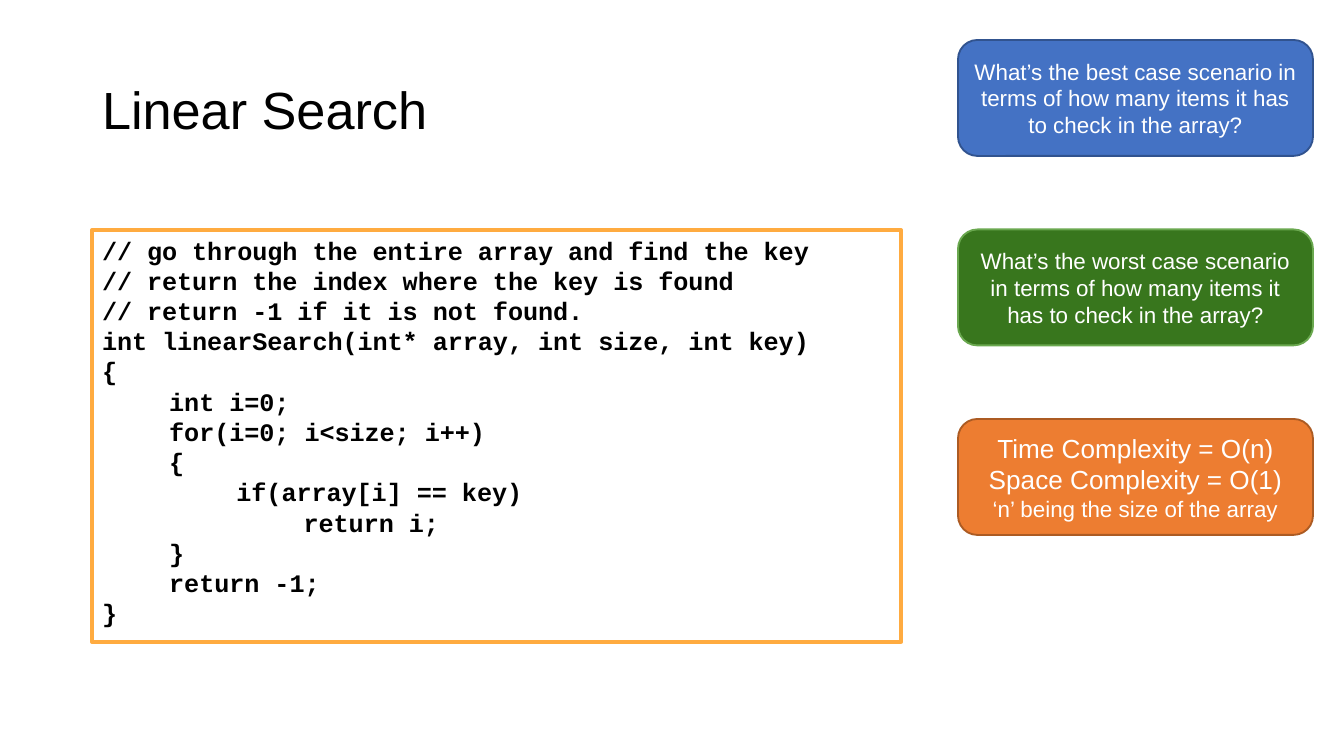
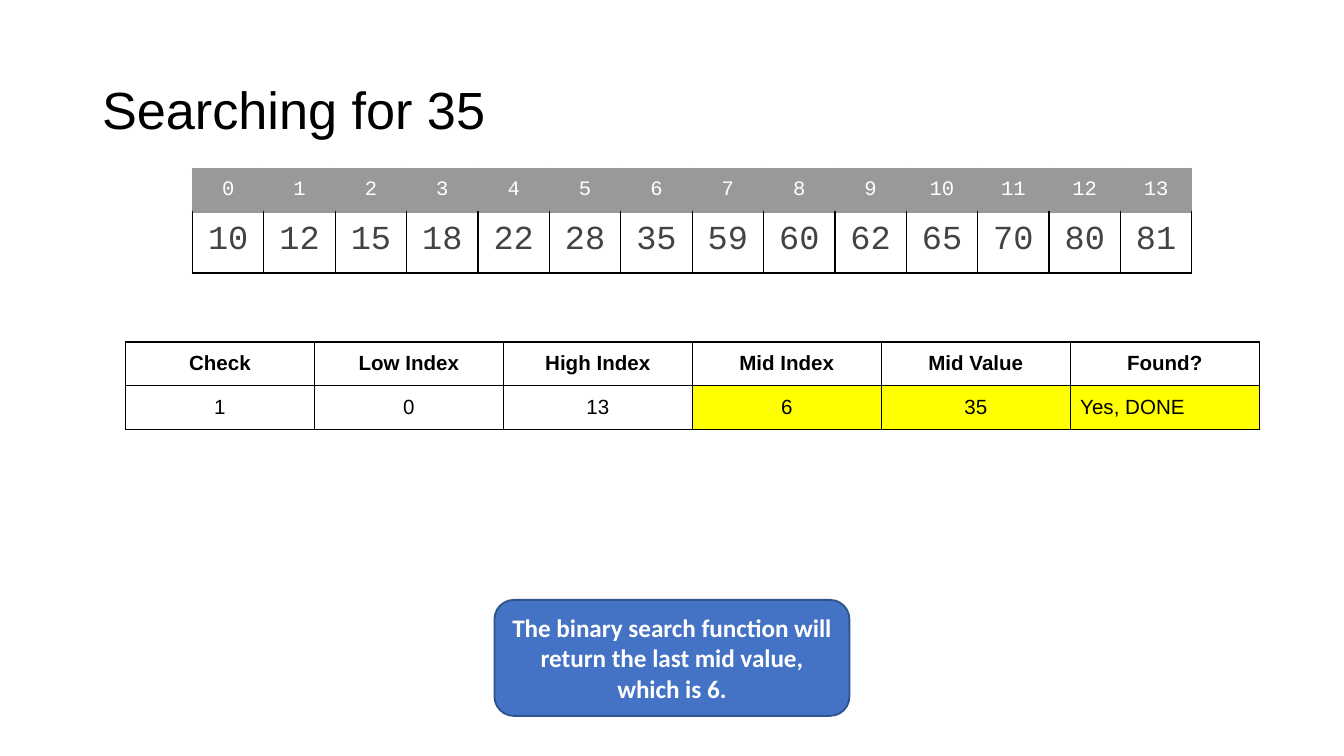
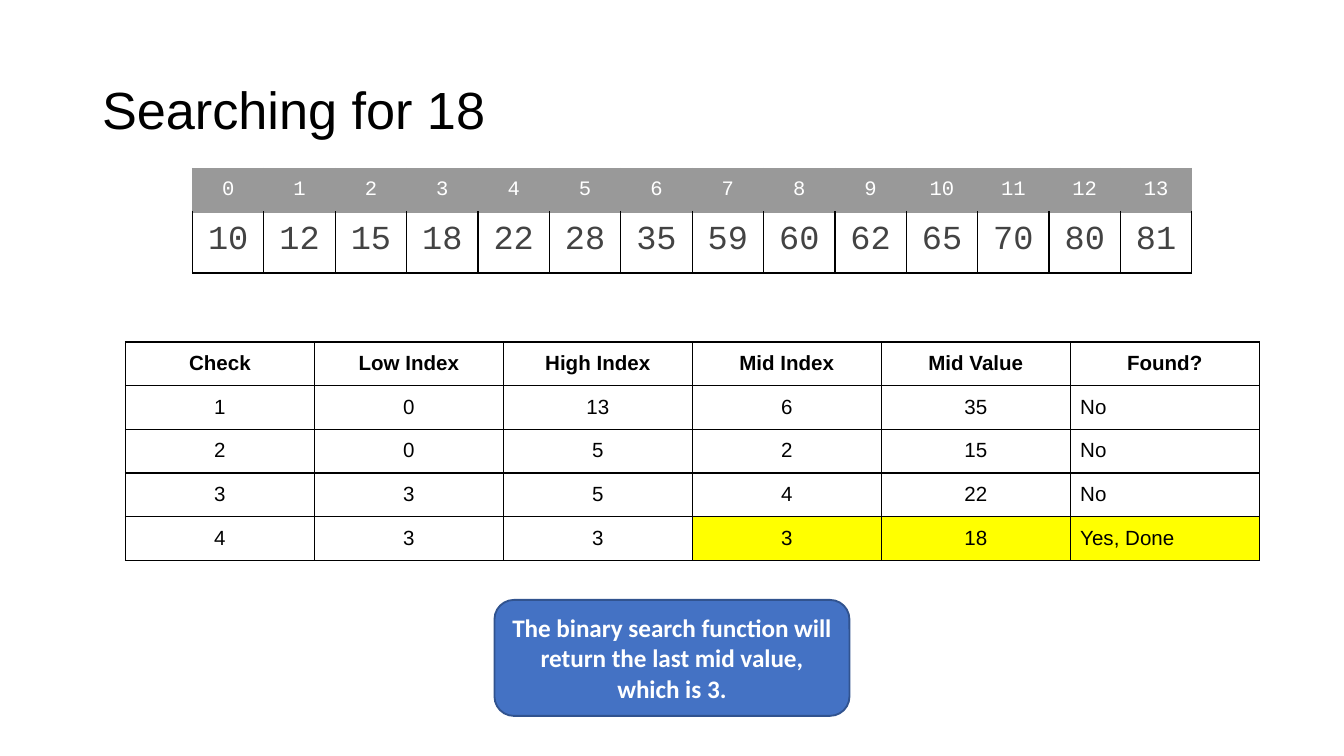
from lxml.etree import SubElement
from pptx import Presentation
from pptx.dml.color import RGBColor
from pptx.enum.shapes import MSO_SHAPE
from pptx.enum.text import MSO_ANCHOR, MSO_AUTO_SIZE, PP_ALIGN
from pptx.oxml.ns import qn
from pptx.util import Emu, Pt

RECT, ROUNDED = MSO_SHAPE.RECTANGLE, MSO_SHAPE.ROUNDED_RECTANGLE
TOP, MIDDLE = MSO_ANCHOR.TOP, MSO_ANCHOR.MIDDLE
LEFT, CENTER = PP_ALIGN.LEFT, PP_ALIGN.CENTER
NO_AUTOFIT = MSO_AUTO_SIZE.NONE

EMU_PER_PIXEL = 914400 / 134.4
TITLE_ONLY = 5
BODY, CODE, NOTE = "Arial", "Courier New", "Calibri"
BLACK, WHITE, GRAY, DARK_GRAY = "000000", "FFFFFF", "999999", "434343"
YELLOW, AMBER = "FFFF00", "FFAB40"
BLUE = ("4472C4", "31538F")
GREEN = ("38761D", "6AA84F")
ORANGE = ("ED7D31", "AC5B23")

CARD_SIZE = (355, 116)
CARD_LEFT, CARD_TOP, CARD_STEP = 958, 40, 189.5
BORDER_SIDES = ("lnL", "lnR", "lnT", "lnB")

LINEAR_SEARCH = """\
// go through the entire array and find the key
// return the index where the key is found
// return -1 if it is not found.
int linearSearch(int* array, int size, int key)
{
\tint i=0;
\tfor(i=0; i<size; i++)
\t{
\t\tif(array[i] == key)
\t\t\treturn i;
\t}
\treturn -1;
}"""
SORTED_VALUES = [10, 12, 15, 18, 22, 28, 35, 59, 60, 62, 65, 70, 80, 81]
CHECK_HEADINGS = ["Check", "Low Index", "High Index", "Mid Index",
                  "Mid Value", "Found?"]
SEARCHES = [
    (35, [(1, 0, 13, 6, 35, "Yes, DONE")]),
    (18, [(1, 0, 13, 6, 35, "No"),
          (2, 0, 5, 2, 15, "No"),
          (3, 3, 5, 4, 22, "No"),
          (4, 3, 3, 3, 18, "Yes, Done")]),
]


def px(length):
    """Turn pixels into EMU."""
    return Emu(round(length * EMU_PER_PIXEL))


def color(hex_code):
    """Turn a hex string into a colour."""
    return RGBColor.from_string(hex_code)


def set_frame(frame, anchor):
    """Set insets, wrapping and anchor of a text frame."""
    frame.margin_left = frame.margin_right = px(10)
    frame.margin_top = frame.margin_bottom = px(5)
    frame.word_wrap = True
    frame.auto_size = NO_AUTOFIT
    frame.vertical_anchor = anchor


def write(paragraph, text, size, font, ink, bold=False, align=LEFT):
    """Add one formatted run to an aligned paragraph."""
    paragraph.alignment = align
    run = paragraph.add_run()
    run.text = text
    run.font.size = Pt(size)
    run.font.name = font
    run.font.bold = bold
    run.font.color.rgb = color(ink)


def write_lines(frame, lines, font, ink, bold=False, align=LEFT):
    """Write (text, size) lines, one paragraph each."""
    for number, (text, size) in enumerate(lines):
        paragraph = frame.add_paragraph() if number else frame.paragraphs[0]
        write(paragraph, text, size, font, ink, bold, align)


def add_titled_slide(deck, heading):
    """Add a slide with the shared title style."""
    slide = deck.slides.add_slide(deck.slide_layouts[TITLE_ONLY])
    title = slide.shapes.title
    title.left, title.top = px(92), px(40)
    title.width, title.height = px(1159), px(146)
    set_frame(title.text_frame, MIDDLE)
    paragraph = title.text_frame.paragraphs[0]
    paragraph.line_spacing = 0.9
    write(paragraph, heading, 28, BODY, BLACK)
    return slide


def add_box(slide, preset, left, top, size, colors, line_width, anchor):
    """Add a filled, outlined shape and return its text frame."""
    box = slide.shapes.add_shape(preset, px(left), px(top), *map(px, size))
    box.shadow.inherit = False
    fill, line = colors
    box.fill.solid()
    box.fill.fore_color.rgb = color(fill)
    box.line.color.rgb = color(line)
    box.line.width = Pt(line_width)
    set_frame(box.text_frame, anchor)
    return box.text_frame


def add_card(slide, left, top, colors, lines, font=BODY, bold=False):
    """Add a rounded card with centred white text."""
    frame = add_box(slide, ROUNDED, left, top, CARD_SIZE, colors, 1, MIDDLE)
    write_lines(frame, lines, font, WHITE, bold, CENTER)


def set_borders(cell, line_colors):
    """Draw left, right, top and bottom borders of a cell."""
    properties = cell._tc.get_or_add_tcPr()
    for side, line_color in zip(BORDER_SIDES, line_colors):
        line = SubElement(properties, qn(f"a:{side}"), w=str(Pt(0.75)))
        fill = SubElement(line, qn("a:solidFill"))
        SubElement(fill, qn("a:srgbClr"), val=line_color)


def add_grid(slide, left, top, column_width, row_heights, columns):
    """Add an unstyled table with equal columns."""
    table = slide.shapes.add_table(
        len(row_heights), columns, px(left), px(top),
        px(column_width * columns), px(sum(row_heights))).table
    table.first_row = table.horz_banding = False
    for column in table.columns:
        column.width = px(column_width)
    for row, height in zip(table.rows, row_heights):
        row.height = px(height)
    return table


def fill_cell(cell, text, size, font, ink, borders, fill=None, bold=False,
              align=CENTER):
    """Write and format one table cell."""
    cell.margin_left = cell.margin_right = px(10)
    cell.margin_top = cell.margin_bottom = px(10)
    set_borders(cell, borders)
    if fill:
        cell.fill.solid()
        cell.fill.fore_color.rgb = color(fill)
    else:
        cell.fill.background()
    write(cell.text_frame.paragraphs[0], str(text), size, font, ink, bold,
          align)


def add_array(slide):
    """Add the sorted array below its indexes."""
    table = add_grid(slide, 192.5, 168.5, 71.4, [43.5, 61],
                     len(SORTED_VALUES))
    for index, value in enumerate(SORTED_VALUES):
        fill_cell(table.cell(0, index), index, 11, CODE, WHITE, [GRAY] * 4,
                  GRAY)
        fill_cell(table.cell(1, index), value, 18, CODE, DARK_GRAY,
                  [BLACK, BLACK, GRAY, BLACK])


def add_checks(slide, checks):
    """Add the table of search steps, with the hit highlighted."""
    rows = [CHECK_HEADINGS, *checks]
    table = add_grid(slide, 125.5, 342, 189, [43.7] * len(rows),
                     len(CHECK_HEADINGS))
    for row, entries in enumerate(rows):
        for column, entry in enumerate(entries):
            is_heading = row == 0
            is_hit = row == len(checks) and column >= 3
            is_verdict = column == 5 and not is_heading
            fill_cell(table.cell(row, column), entry, 11, BODY, BLACK,
                      [BLACK] * 4, YELLOW if is_hit else None, is_heading,
                      LEFT if is_verdict else CENTER)


def add_linear_search(deck):
    """Add the slide with the code and its complexity."""
    slide = add_titled_slide(deck, "Linear Search")
    code = add_box(slide, RECT, 92, 230, (809, 412), (WHITE, AMBER), 2, TOP)
    write_lines(code, [(line, 13.5) for line in LINEAR_SEARCH.split("\n")],
                CODE, BLACK, bold=True)
    question = ("What’s the {} case scenario in terms of how many items "
                "it has to check in the array?")
    cards = [
        (BLUE, [(question.format("best"), 12)]),
        (GREEN, [(question.format("worst"), 12)]),
        (ORANGE, [("Time Complexity = O(n)", 14),
                  ("Space Complexity = O(1)", 14),
                  ("‘n’ being the size of the array", 12)]),
    ]
    for number, (colors, lines) in enumerate(cards):
        add_card(slide, CARD_LEFT, CARD_TOP + number * CARD_STEP, colors,
                 lines)


def add_binary_search(deck, target, checks):
    """Add a slide that follows one binary search."""
    slide = add_titled_slide(deck, f"Searching for {target}")
    add_array(slide)
    add_checks(slide, checks)
    found_index = checks[-1][3]
    answer = ("The binary search function will return the last mid value, "
              f"which is {found_index}.")
    add_card(slide, 494.5, 600, BLUE, [(answer, 13.5)], NOTE, bold=True)


def main():
    """Build and save the deck."""
    deck = Presentation()
    deck.slide_width, deck.slide_height = px(1344), px(756)
    add_linear_search(deck)
    for target, checks in SEARCHES:
        add_binary_search(deck, target, checks)
    deck.save("out.pptx")


main()
